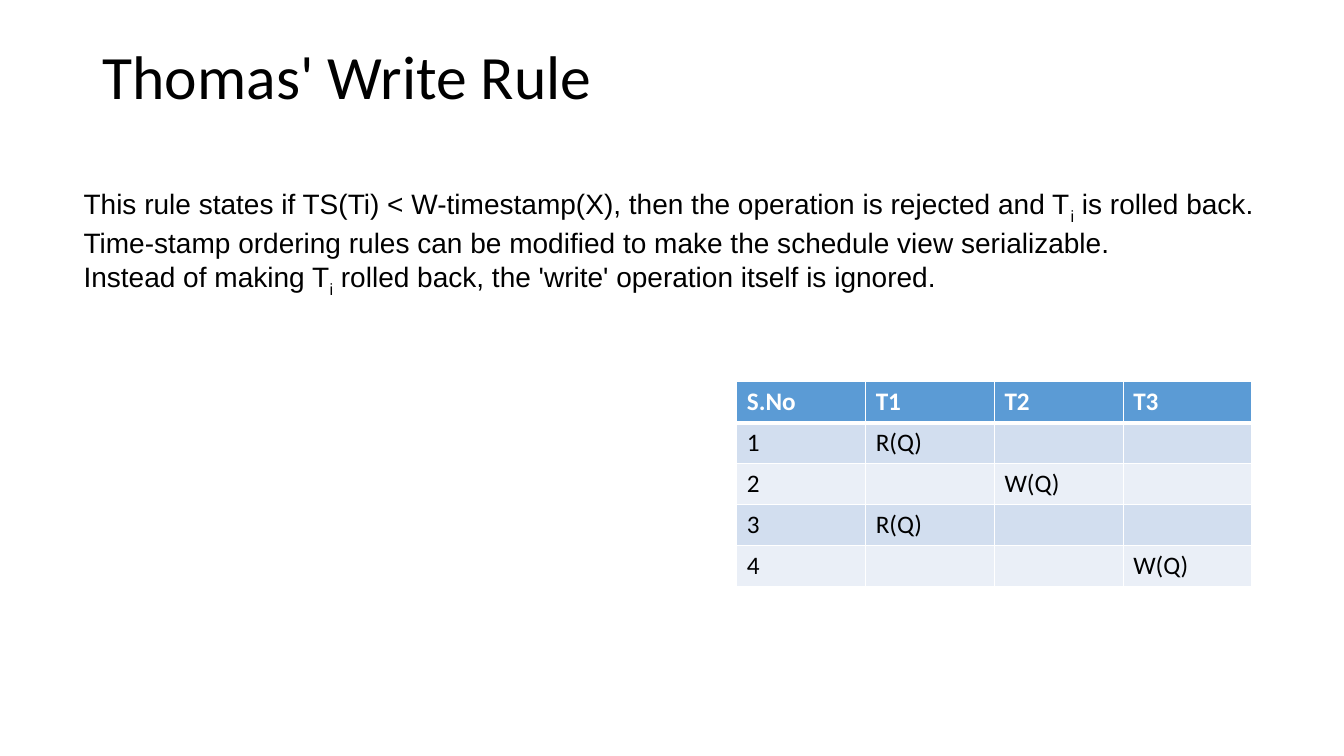
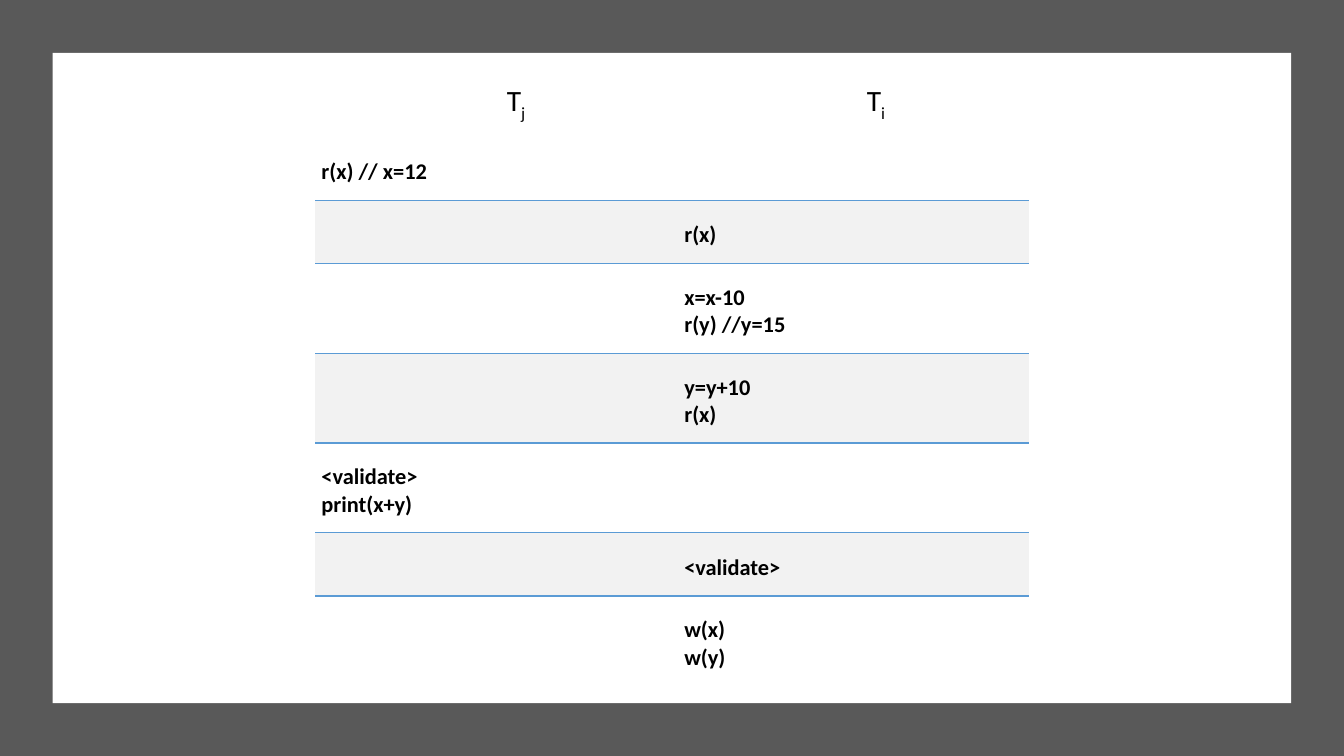
from lxml.etree import SubElement
from pptx import Presentation
from pptx.dml.color import RGBColor
from pptx.enum.shapes import MSO_SHAPE as SHAPE
from pptx.enum.text import MSO_ANCHOR as ANCHOR, PP_ALIGN as ALIGN
from pptx.oxml.ns import qn
from pptx.util import Inches, Pt

WIDTH, HEIGHT = Inches(13.33), Inches(7.5)
FULL = (0, 0, 100, 100)
BLACK, WHITE, BLUE = "000000", "FFFFFF", "5B9BD5"
BAND_DARK, BAND_LIGHT, STRIPE, FRAME = "D2DEEF", "EAEFF7", "F2F2F2", "595959"
NO_STYLE = "{2D5ABB26-0587-4C30-8999-92F81FD0307C}"


def color(value):
    return RGBColor.from_string(value)


def place(box):
    x, y, w, h = (v / 100 for v in box)
    return [int(v) for v in (x * WIDTH, y * HEIGHT, w * WIDTH, h * HEIGHT)]


def write(tf, text, size=18, font="Calibri", fill=BLACK, bold=False,
          align=ALIGN.LEFT, spacing=1.0, sub=-30):
    for i, line in enumerate(text.split("\n")):
        p = tf.paragraphs[0] if i == 0 else tf.add_paragraph()
        p.alignment, p.line_spacing = align, spacing
        for j, part in enumerate(line.split("_")):
            r = p.add_run()
            r.text = part
            r.font.size, r.font.name, r.font.bold = Pt(size), font, bold
            r.font.color.rgb = color(fill)
            if j % 2:
                r.font._element.set("baseline", str(sub * 1000))


def text_box(s, box, text, **fmt):
    tf = s.shapes.add_textbox(*place(box)).text_frame
    tf.word_wrap = True
    tf.vertical_anchor = ANCHOR.MIDDLE
    write(tf, text, **fmt)


def rect(s, box, fill):
    sp = s.shapes.add_shape(SHAPE.RECTANGLE, *place(box))
    sp.shadow.inherit = False
    sp.fill.solid()
    sp.fill.fore_color.rgb = color(fill)
    sp.line.fill.background()


def add_grid(s, box, cols, rows):
    x, y, w, h = place(box)
    frame = s.shapes.add_table(len(rows), len(cols), x, y, w, h)
    table = frame.table
    table.first_row = table.horz_banding = False
    table._tbl.tblPr.find(qn("a:tableStyleId")).text = NO_STYLE
    for col, share in zip(table.columns, cols):
        col.width = int(w * share / sum(cols))
    for row, share in zip(table.rows, rows):
        row.height = int(h * share / sum(rows))
    return table


def style_cell(cell, fill=None, borders=()):
    tcPr = cell._tc.get_or_add_tcPr()
    for side, line, width in borders:
        ln = SubElement(tcPr, qn("a:ln" + side), w=str(Pt(width)))
        SubElement(SubElement(ln, qn("a:solidFill")), qn("a:srgbClr"), val=line)
    if fill:
        cell.fill.solid()
        cell.fill.fore_color.rgb = color(fill)
    else:
        cell.fill.background()


def banded_table(s, box, data):
    table = add_grid(s, box, [1] * len(data[0]), [1] * len(data))
    for i, row in enumerate(data):
        head = i == 0
        fill = BLUE if head else (BAND_LIGHT, BAND_DARK)[i % 2]
        widths = (1, 1, 3 if i == 1 else 1, 3 if head else 1)
        borders = [(side, WHITE, w) for side, w in zip("LRTB", widths)]
        for j, text in enumerate(row):
            cell = table.cell(i, j)
            style_cell(cell, fill, borders)
            if text:
                write(cell.text_frame, text, bold=head,
                      fill=WHITE if head else BLACK)


def schedule_table(s, box, cols, heads, steps):
    rows = [0.66] + [0.89 if "\n" in text else 0.63 for _, text in steps]
    table = add_grid(s, box, cols, rows)
    for j, (text, shift) in enumerate(heads):
        cell = table.cell(0, j)
        style_cell(cell)
        cell.vertical_anchor = ANCHOR.BOTTOM
        cell.margin_left, cell.margin_right = Inches(0.06 + shift), Inches(0.06)
        cell.margin_top = cell.margin_bottom = Inches(0.13)
        write(cell.text_frame, text, size=21, align=ALIGN.CENTER, sub=-25)
    for i, (active, text) in enumerate(steps, 1):
        striped = i % 2 == 0
        for j in range(len(cols)):
            cell = table.cell(i, j)
            style_cell(cell, STRIPE if striped else None,
                       [("T", BLUE, 1)] if striped else ())
            if j == active:
                cell.vertical_anchor = ANCHOR.MIDDLE
                cell.margin_left = cell.margin_right = Inches(0.06)
                cell.margin_top, cell.margin_bottom = Inches(0.19), Inches(0.13)
                write(cell.text_frame, text, size=16, bold=True)


def write_rule_slide(s):
    text_box(s, (6.9, 5.33, 86.25, 10.4), "Thomas' Write Rule",
             size=44, spacing=0.9)
    text_box(s, (5.48, 24.67, 89.15, 14.8),
             "This rule states if TS(Ti) < W-timestamp(X), then the operation "
             "is rejected and T_i_ is rolled back.\n"
             "Time-stamp ordering rules can be modified to make the schedule "
             "view serializable.\n"
             "Instead of making T_i_ rolled back, the 'write' operation itself "
             "is ignored.",
             size=20, font="Arial", align=ALIGN.JUSTIFY)
    banded_table(s, (54.83, 50.5, 38.33, 27.1), [
        ["S.No", "T1", "T2", "T3"],
        ["1", "R(Q)", "", ""],
        ["2", "", "W(Q)", ""],
        ["3", "R(Q)", "", ""],
        ["4", "", "", "W(Q)"],
    ])


def schedule_slide(s):
    rect(s, FULL, FRAME)
    rect(s, (3.92, 7, 92.16, 86), WHITE)
    schedule_table(s, (23.47, 9.33, 53.1, 81.4), [3.6, 3.48],
                   [("T_j_", 0.38), ("T_i_", 0.44)], [
        (0, "r(x) // x=12"),
        (1, "r(x)"),
        (1, "x=x-10\nr(y) //y=15"),
        (1, "y=y+10\nr(x)"),
        (0, "<validate>\nprint(x+y)"),
        (1, "<validate>"),
        (1, "w(x)\nw(y)"),
    ])


def main():
    prs = Presentation()
    prs.slide_width, prs.slide_height = WIDTH, HEIGHT
    for build in (write_rule_slide, schedule_slide):
        build(prs.slides.add_slide(prs.slide_layouts[6]))
    prs.save("out.pptx")


if __name__ == "__main__":
    main()
